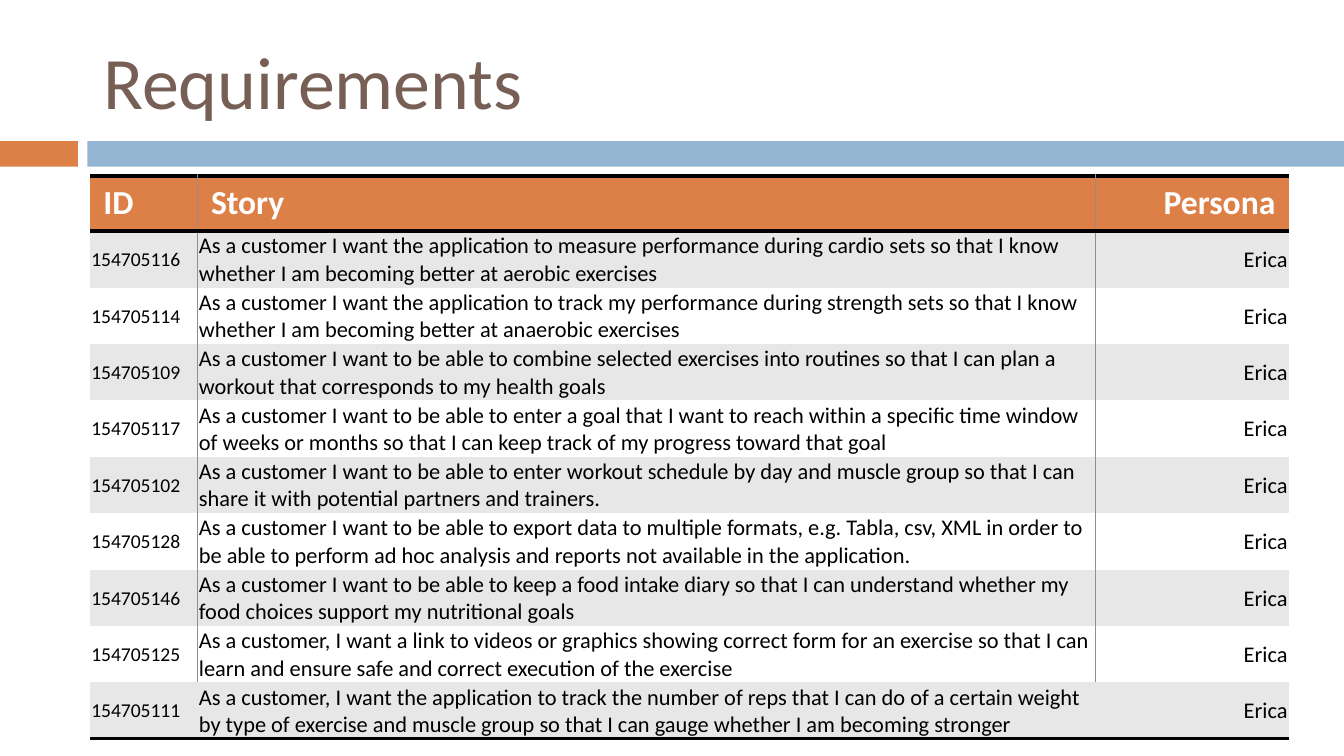
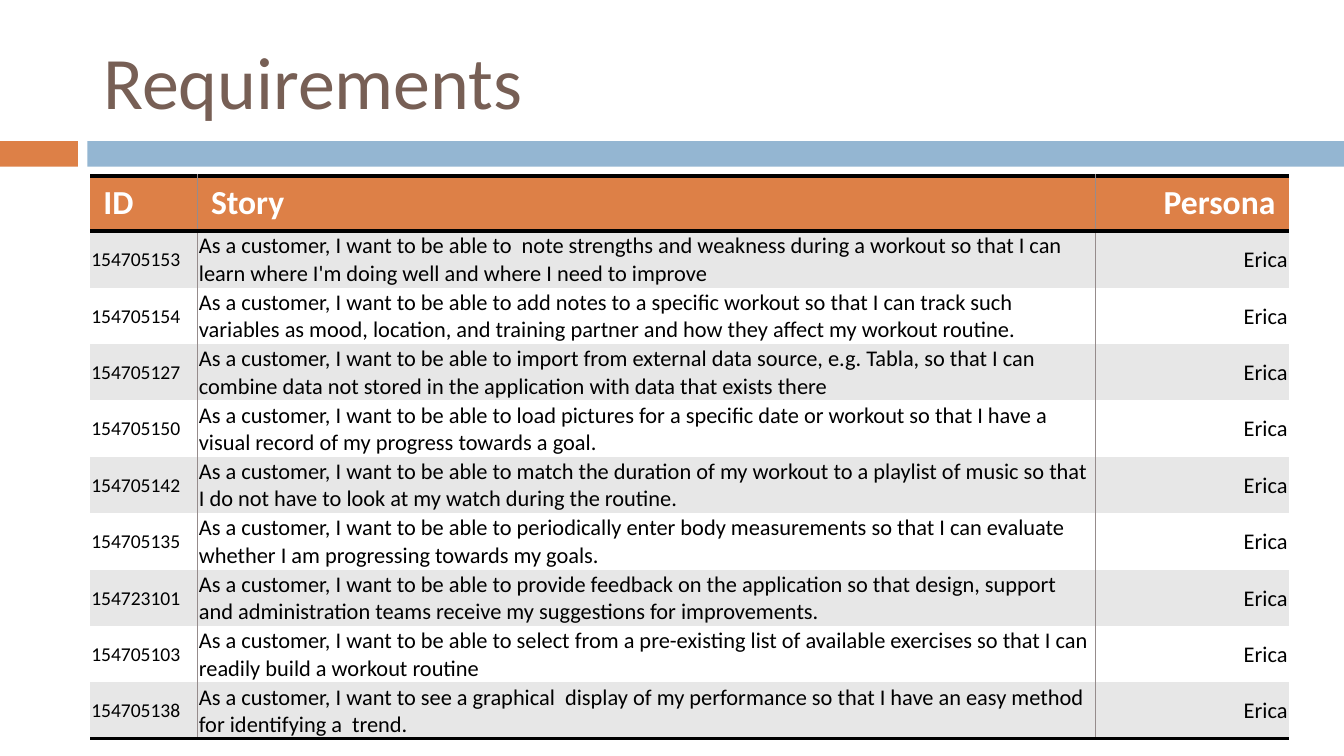
from lxml import etree
from pptx import Presentation
from pptx import util as u
from pptx.dml.color import RGBColor
from pptx.enum import shapes, text
from pptx.oxml.ns import qn

PX = 9144  # 100 px to the inch
FONT = "Calibri"
ORANGE, BLUE, BROWN = "DD8047", "94B6D2", "775F55"
GRAY, WHITE, BLACK, RULE = "E7E7E7", "FFFFFF", "000000", "968C8C"
NO_GRID = "{2D5ABB26-0587-4C30-8999-92F81FD0307C}"

HEADINGS = ["ID", "Story", "Persona"]
COLUMN_WIDTHS = [80, 668, 144]
BODY_SIZES = [10.5, 12, 12]
HEADING_HEIGHT, STORY_HEIGHT = 41, 42
PERSONA = "Erica"

# Stories of each slide, with the number of rows divided by column rules
STORY_PAGES = [
    (9, [
        ("154705116", "As a customer I want the application to measure performance during cardio sets "
                      "so that I know whether I am becoming better at aerobic exercises"),
        ("154705114", "As a customer I want the application to track my performance during strength sets "
                      "so that I know whether I am becoming better at anaerobic exercises"),
        ("154705109", "As a customer I want to be able to combine selected exercises into routines "
                      "so that I can plan a workout that corresponds to my health goals"),
        ("154705117", "As a customer I want to be able to enter a goal that I want to reach within a specific "
                      "time window of weeks or months so that I can keep track of my progress toward that goal"),
        ("154705102", "As a customer I want to be able to enter workout schedule by day and muscle group "
                      "so that I can share it with potential partners and trainers."),
        ("154705128", "As a customer I want to be able to export data to multiple formats, e.g. Tabla, csv, XML "
                      "in order to be able to perform ad hoc analysis and reports not available in the "
                      "application."),
        ("154705146", "As a customer I want to be able to keep a food intake diary "
                      "so that I can understand whether my food choices support my nutritional goals"),
        ("154705125", "As a customer, I want a link to videos or graphics showing correct form for an exercise "
                      "so that I can learn and ensure safe and correct execution of the exercise"),
        ("154705111", "As a customer, I want the application to track the number of reps that I can do of a "
                      "certain weight by type of exercise and muscle group so that I can gauge whether "
                      "I am becoming stronger"),
    ]),
    (10, [
        ("154705153", "As a customer, I want to be able to  note strengths and weakness during a workout "
                      "so that I can learn where I'm doing well and where I need to improve"),
        ("154705154", "As a customer, I want to be able to add notes to a specific workout so that I can track "
                      "such variables as mood, location, and training partner and how they affect my workout "
                      "routine."),
        ("154705127", "As a customer, I want to be able to import from external data source, e.g. Tabla, "
                      "so that I can combine data not stored in the application with data that exists there"),
        ("154705150", "As a customer, I want to be able to load pictures for a specific date or workout "
                      "so that I have a visual record of my progress towards a goal."),
        ("154705142", "As a customer, I want to be able to match the duration of my workout to a playlist of "
                      "music so that I do not have to look at my watch during the routine."),
        ("154705135", "As a customer, I want to be able to periodically enter body measurements "
                      "so that I can evaluate whether I am progressing towards my goals."),
        ("154723101", "As a customer, I want to be able to provide feedback on the application so that design, "
                      "support and administration teams receive my suggestions for improvements."),
        ("154705103", "As a customer, I want to be able to select from a pre-existing list of available "
                      "exercises so that I can readily build a workout routine"),
        ("154705138", "As a customer, I want to see a graphical  display of my performance "
                      "so that I have an easy method for identifying a  trend."),
    ]),
]


def color(value):
    return RGBColor.from_string(value)


def add_run(para, words, size, ink, bold=False):
    span = para.add_run()
    span.text = words
    span.font.name = FONT
    span.font.size = u.Pt(size)
    span.font.bold = bold
    span.font.color.rgb = color(ink)


deck = Presentation()
deck.slide_width = 1000 * PX
deck.slide_height = deck.slide_width * 9 // 16

for ruled_rows, stories in STORY_PAGES:
    page = deck.slides.add_slide(deck.slide_layouts[6])

    # Bands under the title
    for left, width, fill in [(0, 58, ORANGE), (65, 935, BLUE)]:
        band = page.shapes.add_shape(shapes.MSO_SHAPE.RECTANGLE, left * PX, 105 * PX, width * PX, 19 * PX)
        band.shadow.inherit = False
        band.fill.solid()
        band.fill.fore_color.rgb = color(fill)
        band.line.fill.background()

    # Title
    box = page.shapes.add_textbox(67 * PX, 19 * PX, 892 * PX, 81 * PX)
    box.text_frame.word_wrap = True
    box.text_frame.vertical_anchor = text.MSO_ANCHOR.MIDDLE
    add_run(box.text_frame.paragraphs[0], "Requirements", 39.6, BROWN)

    # Table of stories
    rows = [HEADINGS] + [[number, story, PERSONA] for number, story in stories]
    last_row, last_column = len(rows) - 1, len(HEADINGS) - 1
    table_height = HEADING_HEIGHT + len(stories) * STORY_HEIGHT
    table = page.shapes.add_table(len(rows), len(HEADINGS), 67 * PX, 131 * PX,
                                  sum(COLUMN_WIDTHS) * PX, table_height * PX).table
    table._tbl.tblPr.find(qn("a:tableStyleId")).text = NO_GRID
    for column, width in zip(table.columns, COLUMN_WIDTHS):
        column.width = width * PX

    for r, values in enumerate(rows):
        table.rows[r].height = (STORY_HEIGHT if r else HEADING_HEIGHT) * PX
        for c, value in enumerate(values):
            cell = table.cell(r, c)
            para = cell.text_frame.paragraphs[0]
            if c == last_column:
                para.alignment = text.PP_ALIGN.RIGHT
            if r == 0:
                add_run(para, value, 18, WHITE, bold=True)
            else:
                add_run(para, value, BODY_SIZES[c], BLACK)
                cell.vertical_anchor = text.MSO_ANCHOR.MIDDLE
                cell.margin_left = cell.margin_top = cell.margin_right = PX
                cell.margin_bottom = 0

            # Borders come before the fill in the cell's properties
            borders = [
                ("a:lnL", RULE, 1, c > 0 and r < ruled_rows),
                ("a:lnR", RULE, 1, c < last_column and r < ruled_rows),
                ("a:lnT", BLACK, 2, r == 0),
                ("a:lnB", BLACK, 2, r in (0, last_row)),
            ]
            for tag, ink, points, drawn in borders:
                if drawn:
                    line = etree.SubElement(cell._tc.get_or_add_tcPr(), qn(tag), w=str(u.Pt(points)))
                    solid = etree.SubElement(line, qn("a:solidFill"))
                    etree.SubElement(solid, qn("a:srgbClr"), val=ink)
            cell.fill.solid()
            cell.fill.fore_color.rgb = color(ORANGE if r == 0 else GRAY if r % 2 else WHITE)

deck.save("out.pptx")
